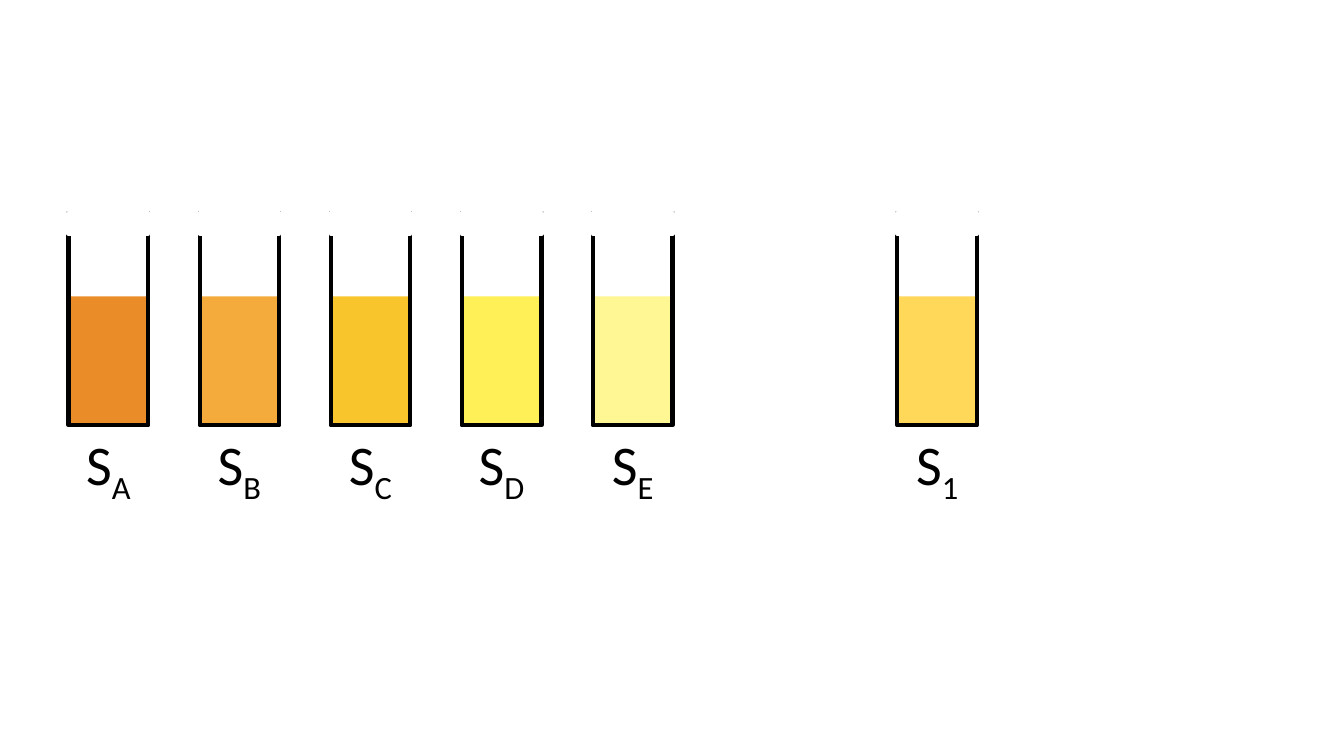
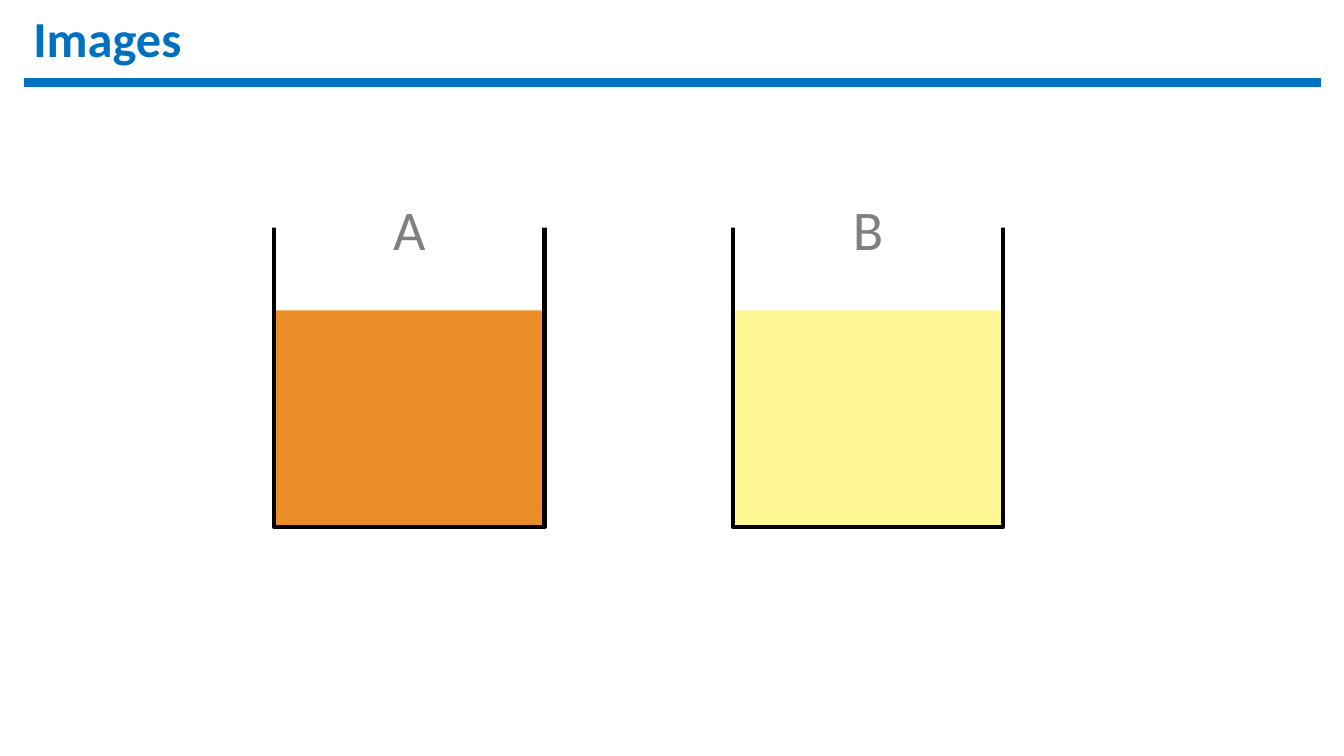
"""Build two slides of beakers filled with coloured solutions."""
from lxml.etree import SubElement
from pptx import Presentation
from pptx.dml.color import RGBColor
from pptx.enum.shapes import MSO_CONNECTOR, MSO_SHAPE
from pptx.enum.text import MSO_ANCHOR, MSO_AUTO_SIZE, PP_ALIGN
from pptx.oxml.ns import qn
from pptx.util import Inches, Pt

BLACK = RGBColor(0x00, 0x00, 0x00)
WHITE = RGBColor(0xFF, 0xFF, 0xFF)
GRAY = RGBColor(0x80, 0x80, 0x80)
BLUE = RGBColor(0x00, 0x70, 0xC0)
DARK_ORANGE = RGBColor(0xEA, 0x8C, 0x28)
ORANGE = RGBColor(0xF5, 0xAB, 0x3C)
AMBER = RGBColor(0xF9, 0xC5, 0x2D)
GOLD = RGBColor(0xFF, 0xD1, 0x3C)
YELLOW = RGBColor(0xFE, 0xF0, 0x56)
PALE_YELLOW = RGBColor(0xFF, 0xF7, 0x93)


class Deck:
    """Hold the shared style and the current slide."""

    FONT = "Calibri"
    WALL = Pt(3)
    TITLE_ONLY, BLANK = 5, 6

    def __init__(self):
        """Start an empty widescreen presentation."""
        self.prs = Presentation()
        self.prs.slide_width = Inches(13.33)
        self.prs.slide_height = Inches(7.5)

    def new_slide(self, title=None):
        """Add a slide, with a title and its rule if a title is given."""
        layout = self.TITLE_ONLY if title else self.BLANK
        self.slide = self.prs.slides.add_slide(self.prs.slide_layouts[layout])
        if title:
            self.title(title)
            self.rule(0.24, 13.1, 0.82)

    def style(self, run, size, color, bold=False):
        """Give a run the shared font."""
        formats = {"name": self.FONT, "size": Pt(size), "bold": bold}
        for key, value in formats.items():
            setattr(run.font, key, value)
        run.font.color.rgb = color

    def title(self, text):
        """Fill and place the title placeholder."""
        heading = self.slide.shapes.title
        place = {"left": 0, "top": 0, "width": self.prs.slide_width,
                 "height": Inches(0.82)}
        for key, value in place.items():
            setattr(heading, key, value)
        frame = heading.text_frame
        formats = {"auto_size": MSO_AUTO_SIZE.NONE, "margin_left": Inches(0.33),
                   "vertical_anchor": MSO_ANCHOR.MIDDLE}
        for key, value in formats.items():
            setattr(frame, key, value)
        paragraph = frame.paragraphs[0]
        paragraph.alignment = PP_ALIGN.LEFT
        paragraph.line_spacing = 0.9
        run = paragraph.add_run()
        run.text = text
        self.style(run, 36, BLUE, True)

    def rule(self, start, end, y):
        """Draw the thick line under the title."""
        line = self.slide.shapes.add_connector(
            MSO_CONNECTOR.STRAIGHT, Inches(start), Inches(y), Inches(end), Inches(y))
        line.line.color.rgb = BLUE
        line.line.width = Pt(6)
        SubElement(line._element.spPr, qn("a:effectLst"))

    def box(self, group, bounds, fill=None, line=None, opacity=100):
        """Add a rectangle to a beaker group."""
        shape = group.shapes.add_shape(
            MSO_SHAPE.RECTANGLE, *[Inches(length) for length in bounds])
        shape.shadow.inherit = False
        if fill is None:
            shape.fill.background()
        else:
            shape.fill.solid()
            shape.fill.fore_color.rgb = fill
        if opacity < 100:
            color = shape._element.spPr.find(qn("a:solidFill"))[0]
            SubElement(color, qn("a:alpha"), val=str(opacity * 1000))
        if line is None:
            shape.line.fill.background()
        else:
            shape.line.color.rgb = line
            shape.line.width = self.WALL

    def beaker(self, walls, level, liquid, rim, rim_line=None, shift=0, opacity=100):
        """Draw liquid, walls and the white rim that opens the top."""
        left, top, width, height = walls
        group = self.slide.shapes.add_group_shape()
        self.box(group, (left - shift, level, width, top + height - level),
                 liquid, opacity=opacity)
        self.box(group, walls, line=BLACK)
        self.box(group, rim, WHITE, rim_line)

    def label(self, center, top, text, color, subscript=""):
        """Centre a beaker label, with an optional subscript."""
        width = 0.66
        text_box = self.slide.shapes.add_textbox(
            Inches(center - width / 2), Inches(top), Inches(width), Inches(0.77))
        text_box.text_frame.word_wrap = False
        paragraph = text_box.text_frame.paragraphs[0]
        paragraph.alignment = PP_ALIGN.CENTER
        for part, baseline in ((text, 0), (subscript, -25000)):
            if part:
                run = paragraph.add_run()
                run.text = part
                self.style(run, 40, color)
                if baseline:
                    run._r.get_or_add_rPr().set("baseline", str(baseline))


def main():
    """Build and save the deck."""
    deck = Deck()

    deck.new_slide()
    first, pitch, top, width = 0.68, 1.3, 2.11, 0.79
    standards = zip("ABCDE", (DARK_ORANGE, ORANGE, AMBER, YELLOW, PALE_YELLOW))
    samples = [(first + i * pitch, name, color, 100)
               for i, (name, color) in enumerate(standards)]
    samples.append((8.9, "1", GOLD, 85))
    for left, name, color, opacity in samples:
        deck.beaker((left, top, width, 2.11), 2.94, color,
                    (left, top, width, 0.21), WHITE, 0.01, opacity)
        deck.label(left + width / 2, 4.21, "S", BLACK, name)

    deck.new_slide("Images")
    width, overhang = 2.68, 0.23
    for left, name, color in ((2.72, "A", DARK_ORANGE), (7.27, "B", PALE_YELLOW)):
        deck.beaker((left, 1.95, width, 3.28), 3.08, color,
                    (left - overhang, 1.63, width + 2 * overhang, 0.63))
        deck.label(left + width / 2, 1.88, name, GRAY)

    deck.prs.save("out.pptx")


main()
